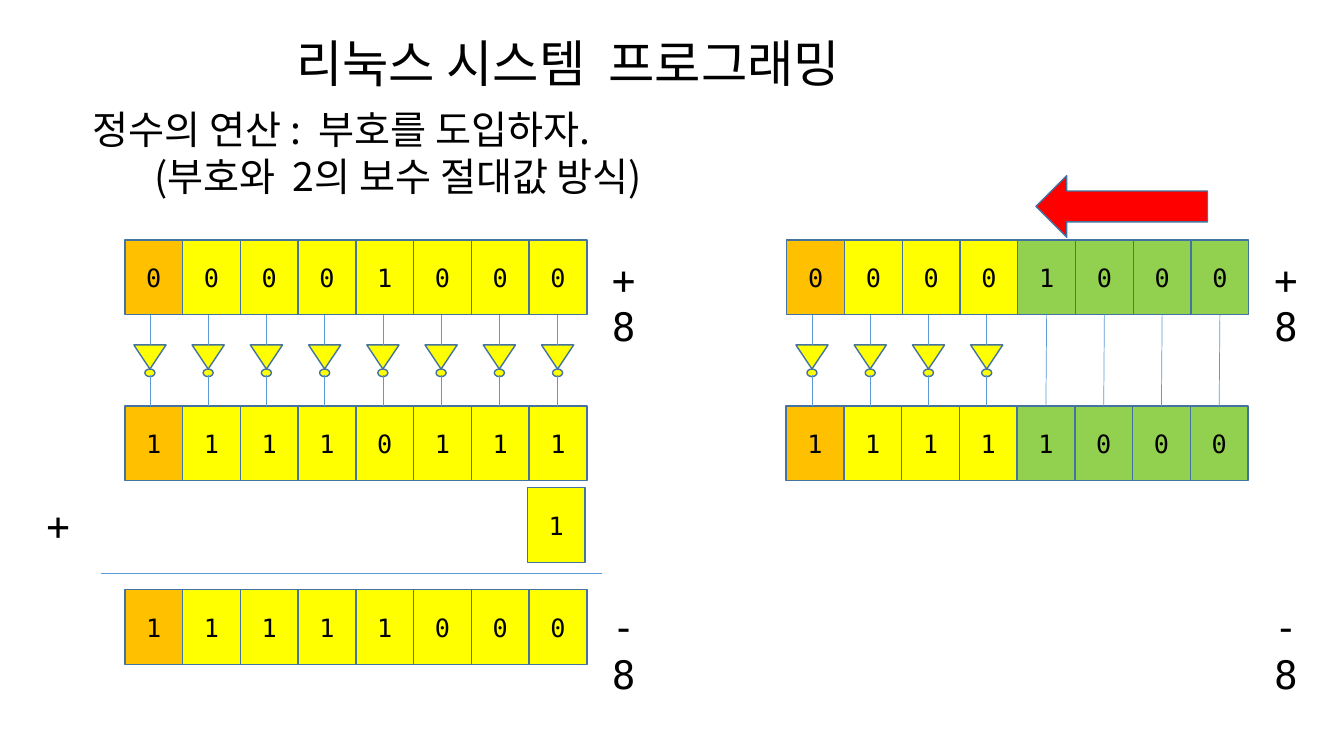
import pptx
import pptx.util
import pptx.dml.color
import pptx.enum.shapes
import pptx.enum.text
import pptx.oxml.ns
from lxml import etree

Pt = pptx.util.Pt
rgb = pptx.dml.color.RGBColor.from_string
qn = pptx.oxml.ns.qn
KIND = pptx.enum.shapes.MSO_SHAPE
MONO, KOREAN = "DejaVu Sans Mono", "Noto Sans CJK KR"
ORANGE, YELLOW, GREEN, RED = "FFC000", "FFFF00", "92D050", "FF0000"
CELL_W, CELL_H, GATE_STEP = 41.25, 53.25, 41.6
TOP_Y, INVERTED_Y, RESULT_Y = 171.4, 290, 421.2


def add_figure(shapes, kind, x, y, w, h, fill, text=""):
    sp = shapes.add_shape(kind, Pt(x), Pt(y), Pt(w), Pt(h))
    sp.shadow.inherit = False
    sp.fill.solid()
    sp.fill.fore_color.rgb = rgb(fill)
    sp.line.color.rgb = rgb("43739E")
    sp.line.width = Pt(1)
    if text:
        sp.text_frame.vertical_anchor = pptx.enum.text.MSO_ANCHOR.MIDDLE
        p = sp.text_frame.paragraphs[0]
        p.alignment = pptx.enum.text.PP_ALIGN.CENTER
        r = p.add_run()
        r.text = text
        r.font.name = MONO
        r.font.size = Pt(18)
        r.font.color.rgb = rgb("000000")
    return sp


def add_line(shapes, x1, y1, x2, y2):
    c = shapes.add_connector(pptx.enum.shapes.MSO_CONNECTOR.STRAIGHT,
                             Pt(x1), Pt(y1), Pt(x2), Pt(y2))
    c.line.color.rgb = rgb("5B9BD5")
    c.line.width = Pt(0.5)
    etree.SubElement(c._element.spPr, qn("a:effectLst"))
    return c


prs = pptx.Presentation()
prs.slide_width, prs.slide_height = Pt(960), Pt(540)
s = prs.slides.add_slide(prs.slide_layouts[6])

# Headings, signs and values: x, y, w, h, font, size, (text, left margin) lines
texts = [
    (204.5, 19.4, 453, 51, KOREAN, 36, [("리눅스 시스템  프로그래밍", 0)]),
    (59, 72, 478, 75, KOREAN, 28, [("정수의 연산 :  부호를 도입하자.", 0),
                                   ("(부호와  2의 보수 절대값 방식)", 44)]),
    (26, 354.5, 30.5, 41, MONO, 28, [("+", 0)]),
]
for x in (430, 903):
    texts.append((x, 178.5, 45.4, 41, MONO, 28, [("+8", 0)]))
    texts.append((x, 427, 45.4, 41, MONO, 28, [("-8", 0)]))
for x, y, w, h, font, size, lines in texts:
    tf = s.shapes.add_textbox(Pt(x), Pt(y), Pt(w), Pt(h)).text_frame
    tf.word_wrap = True
    for i, (text, margin) in enumerate(lines):
        p = tf.add_paragraph() if i else tf.paragraphs[0]
        if margin:
            p._p.get_or_add_pPr().set("marL", str(Pt(margin)))
        r = p.add_run()
        r.text = text
        r.font.name = font
        r.font.size = Pt(size)
        r.font.color.rgb = rgb("000000")
        etree.SubElement(r.font._element, qn("a:ea")).set("typeface", font)

# Rows of bits: x, y, bits, number of green cells at the right
rows = []
for x, y, bits, green in [
    (89.2, TOP_Y, "00001000", 0),
    (89.2, INVERTED_Y, "11110111", 0),
    (89.2, RESULT_Y, "11111000", 0),
    (562, TOP_Y, "00001000", 4),
    (561.5, INVERTED_Y, "11111000", 4),
]:
    fills = [ORANGE] + [YELLOW] * (7 - green) + [GREEN] * green
    rows.append([
        add_figure(s.shapes, KIND.RECTANGLE, x + i * CELL_W, y, CELL_W, CELL_H, fill, bit)
        for i, (bit, fill) in enumerate(zip(bits, fills))])

# Added one and sum line
add_figure(s.shapes, KIND.RECTANGLE, 376.6, 348.4, CELL_W, CELL_H, YELLOW, "1")
add_line(s.shapes, 72, 409.7, 430, 409.7)

# NOT gates between the rows
for first_x, count in [(107.1, 8), (580, 4)]:
    for i in range(count):
        x = first_x + i * GATE_STEP
        gate = s.shapes.add_group_shape().shapes
        add_figure(gate, KIND.FLOWCHART_MERGE, x - 11.5, 246.4, 23, 17.2, YELLOW)
        add_figure(gate, KIND.OVAL, x - 3.6, 263.6, 7.2, 5.4, YELLOW)
        add_line(gate, x, TOP_Y + CELL_H, x, 246.4)
        add_line(gate, x, 268, x, INVERTED_Y)

# Bits carried down unchanged
for upper, lower in zip(rows[3][4:], rows[4][4:]):
    c = add_line(s.shapes, 0, 0, 0, 0)
    c.begin_connect(upper, 2)
    c.end_connect(lower, 0)

# Scan direction
add_figure(s.shapes, KIND.LEFT_ARROW, 740, 125.5, 122.5, 44, RED)

prs.save("out.pptx")
